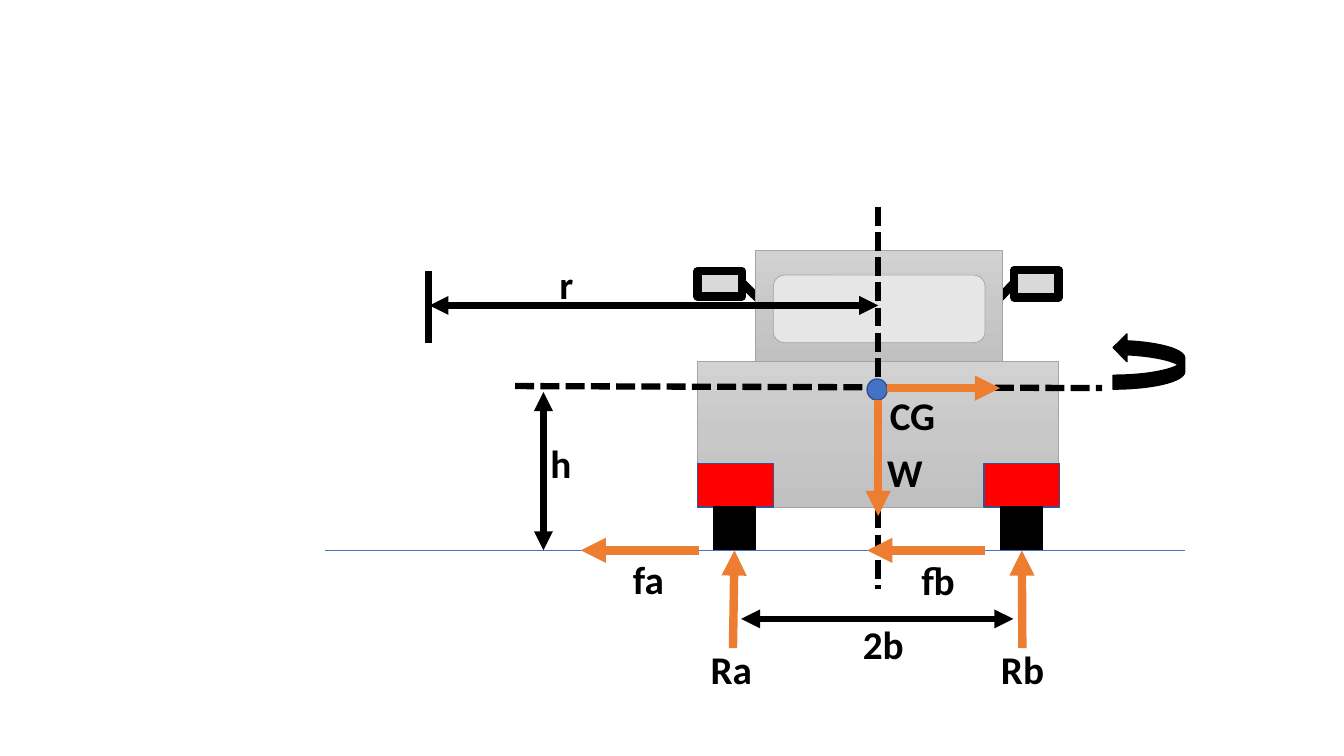
from copy import deepcopy
from dataclasses import dataclass
from typing import Any, NamedTuple, Optional

from pptx import Presentation
from pptx.dml.color import RGBColor
from pptx.enum.dml import MSO_LINE as Dash
from pptx.enum.shapes import MSO_CONNECTOR as Link, MSO_SHAPE as Form
from pptx.enum.text import MSO_AUTO_SIZE as AutoSize, PP_ALIGN as Align
from pptx.oxml.ns import qn
from pptx.oxml.xmlchemy import OxmlElement
from pptx.util import Inches, Pt


@dataclass(frozen=True)
class Theme:
    black: str = "000000"
    red: str = "FF0000"
    blue: str = "4472C4"
    navy: str = "325491"
    orange: str = "ED7D31"
    grey: str = "A5A5A5"
    glass: str = "E7E6E6"
    mirror: str = "D9D9D9"
    metal: tuple = ((0, "D2D2D2"), (0.5, "C8C8C8"), (1, "C0C0C0"))
    font: str = "Calibri"
    label_size: int = 28
    hairline: float = 0.5
    outline: float = 1
    dimension: float = 4.5
    force: float = 6


class Part(NamedTuple):
    form: Form
    left: float
    top: float
    width: float
    height: float
    fill: Any
    edge: str
    weight: float
    adjustments: tuple = ()
    rotation: float = 0
    mirrored: bool = False


class Stroke(NamedTuple):
    x1: float
    y1: float
    x2: float
    y2: float
    colour: str
    weight: float
    ends: tuple = ()
    dash: Optional[Dash] = None


class Label(NamedTuple):
    text: str
    left: float
    top: float
    width: float
    align: Align = Align.LEFT


THEME = Theme()
AXIS = 8.71
GROUND = 5.46
LABEL_HEIGHT = 0.57
MIRROR_ARM = (0.485, -0.015, 1.125, -0.383)
ONE_WAY = ("a:tailEnd",)
TWO_WAY = ("a:headEnd", "a:tailEnd")

MIRRORS_AND_BODY = [
    Part(Form.LINE_CALLOUT_1, 6.92, 2.69, 0.44, 0.25, THEME.mirror, THEME.black, THEME.force,
         MIRROR_ARM, mirrored=True),
    Part(Form.LINE_CALLOUT_1, 10.06, 2.68, 0.44, 0.27, THEME.mirror, THEME.black, THEME.force,
         MIRROR_ARM),
    Part(Form.RECTANGLE, 6.92, 3.59, 3.58, 1.44, THEME.metal, THEME.grey, THEME.hairline),
    Part(Form.RECTANGLE, 7.49, 2.48, 2.45, 1.11, THEME.metal, THEME.grey, THEME.hairline),
]
TAIL_LIGHTS = [
    Part(Form.RECTANGLE, left, 4.6, 0.75, 0.43, THEME.red, THEME.navy, THEME.outline)
    for left in (6.92, 9.76)
]
TYRES = [
    Part(Form.RECTANGLE, left, 5.03, 0.41, 0.43, THEME.black, THEME.black, THEME.outline)
    for left in (7.08, 9.93)
]
REAR_WINDOW = Part(Form.ROUNDED_RECTANGLE, 7.67, 2.73, 2.1, 0.67, THEME.glass, THEME.grey,
                   THEME.hairline)
GRAVITY_CENTRE = Part(Form.OVAL, 8.6, 3.76, 0.2, 0.21, THEME.blue, THEME.navy, THEME.outline)
TURN_ARROW = Part(Form.CURVED_UP_ARROW, 11.12, 3.23, 0.55, 0.71, THEME.black, THEME.black,
                  THEME.outline, rotation=270)

GROUND_LINE = Stroke(3.22, GROUND, 11.75, GROUND, THEME.blue, THEME.hairline)
REACTIONS = [
    Stroke(x, 6.43, x + 0.01, GROUND, THEME.orange, THEME.force, ONE_WAY)
    for x in (7.27, 10.14)
]
CENTRE_LINES = [
    Stroke(*ends, THEME.black, THEME.dimension, dash=Dash.SQUARE_DOT)
    for ends in ((AXIS, 2.05, AXIS, 5.84), (5.11, 3.83, 10.93, 3.85))
]
FORCES = [
    Stroke(*ends, THEME.orange, THEME.force, ONE_WAY)
    for ends in ((AXIS, 3.97, AXIS, 5.12), (8.8, 3.85, 9.92, 3.85),
                 (6.93, GROUND, 5.76, GROUND), (9.77, GROUND, 8.6, GROUND))
]
DIMENSIONS = [
    Stroke(*ends, THEME.black, THEME.dimension, TWO_WAY)
    for ends in ((4.26, 3.03, AXIS, 3.03), (5.39, GROUND, 5.39, 3.89), (7.35, 6.14, 10.05, 6.14))
]
TURN_CENTRE = Stroke(4.25, 2.69, 4.25, 3.4, THEME.black, THEME.dimension)

LABELS = [
    Label("CG", 8.7, 3.83, 0.7, Align.CENTER),
    Label("Ra", 6.95, 6.35, 0.64),
    Label("Rb", 9.83, 6.35, 0.64),
    Label("W", 8.7, 4.4, 0.64),
    Label("r", 5.45, 2.53, 0.4),
    Label("h", 5.36, 4.31, 0.4),
    Label("fa", 6.18, 5.46, 0.64),
    Label("fb", 9.04, 5.47, 0.55),
    Label("2b", 8.43, 6.1, 0.66, Align.CENTER),
]


def apply_format(target: Any, values: dict) -> None:
    for name, value in values.items():
        setattr(target, name, value)


def fill_metal(shape: Any, stops: tuple) -> None:
    shape.fill.gradient()
    shape.fill.gradient_angle = 270
    stop_list = shape.element.spPr.find(".//" + qn("a:gsLst"))
    stop_list.insert(1, deepcopy(stop_list[0]))
    for stop, (position, colour) in zip(shape.fill.gradient_stops, stops):
        stop.position = position
        stop.color.rgb = RGBColor.from_string(colour)


def draw_part(slide: Any, part: Part) -> Any:
    box = map(Inches, (part.left, part.top, part.width, part.height))
    shape = slide.shapes.add_shape(part.form, *box)
    shape.shadow.inherit = False
    shape.rotation = part.rotation
    for index, value in enumerate(part.adjustments):
        shape.adjustments[index] = value
    if part.mirrored:
        shape.element.spPr.find(qn("a:xfrm")).set("flipH", "1")
    if isinstance(part.fill, tuple):
        fill_metal(shape, part.fill)
    else:
        shape.fill.solid()
        shape.fill.fore_color.rgb = RGBColor.from_string(part.fill)
    shape.line.color.rgb = RGBColor.from_string(part.edge)
    shape.line.width = Pt(part.weight)
    return shape


def draw_stroke(slide: Any, stroke: Stroke) -> Any:
    points = map(Inches, (stroke.x1, stroke.y1, stroke.x2, stroke.y2))
    connector = slide.shapes.add_connector(Link.STRAIGHT, *points)
    connector.line.color.rgb = RGBColor.from_string(stroke.colour)
    apply_format(connector.line, {"width": Pt(stroke.weight), "dash_style": stroke.dash})
    properties = connector.element.spPr
    for tag in stroke.ends:
        arrowhead = OxmlElement(tag)
        arrowhead.set("type", "triangle")
        properties.find(qn("a:ln")).append(arrowhead)
    properties.append(OxmlElement("a:effectLst"))
    return connector


def draw_label(slide: Any, label: Label) -> None:
    box = map(Inches, (label.left, label.top, label.width, LABEL_HEIGHT))
    frame = slide.shapes.add_textbox(*box).text_frame
    apply_format(frame, {"word_wrap": True, "auto_size": AutoSize.SHAPE_TO_FIT_TEXT})
    paragraph = frame.paragraphs[0]
    apply_format(paragraph, {"text": label.text, "alignment": label.align})
    font = paragraph.runs[0].font
    apply_format(font, {"name": THEME.font, "size": Pt(THEME.label_size), "bold": True})
    font.color.rgb = RGBColor.from_string(THEME.black)


def main() -> None:
    deck = Presentation()
    apply_format(deck, {"slide_width": Inches(13.33), "slide_height": Inches(7.5)})
    slide = deck.slides.add_slide(deck.slide_layouts[6])
    for part in MIRRORS_AND_BODY + TAIL_LIGHTS:
        draw_part(slide, part)
    tyres = [draw_part(slide, tyre) for tyre in TYRES]
    draw_stroke(slide, GROUND_LINE)
    draw_part(slide, REAR_WINDOW)
    for reaction, tyre in zip(REACTIONS, tyres):
        draw_stroke(slide, reaction).end_connect(tyre, 2)
    for centre_line in CENTRE_LINES:
        draw_stroke(slide, centre_line)
    draw_part(slide, GRAVITY_CENTRE)
    for stroke in FORCES + DIMENSIONS + [TURN_CENTRE]:
        draw_stroke(slide, stroke)
    draw_part(slide, TURN_ARROW)
    for label in LABELS:
        draw_label(slide, label)
    deck.save("out.pptx")


if __name__ == "__main__":
    main()
